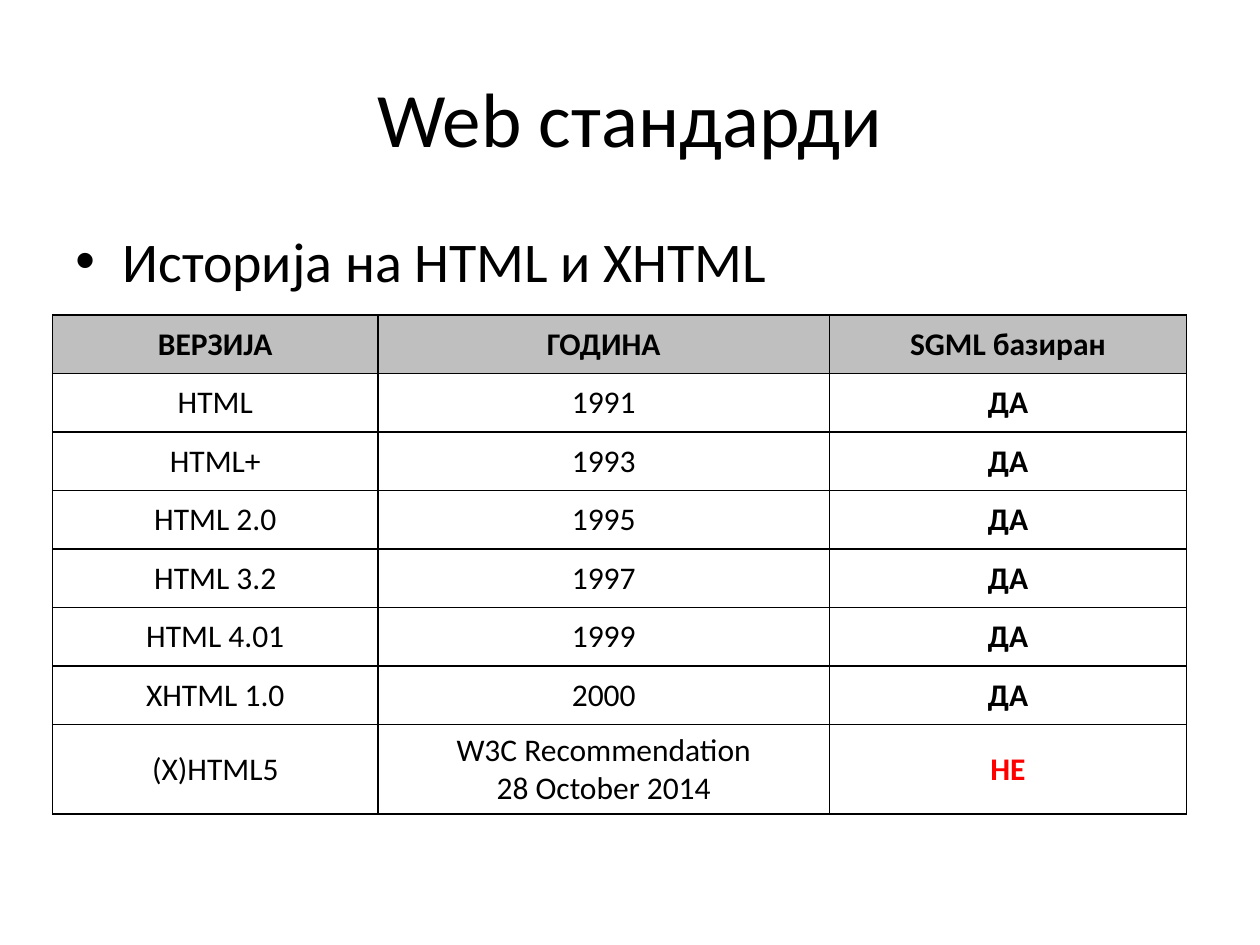
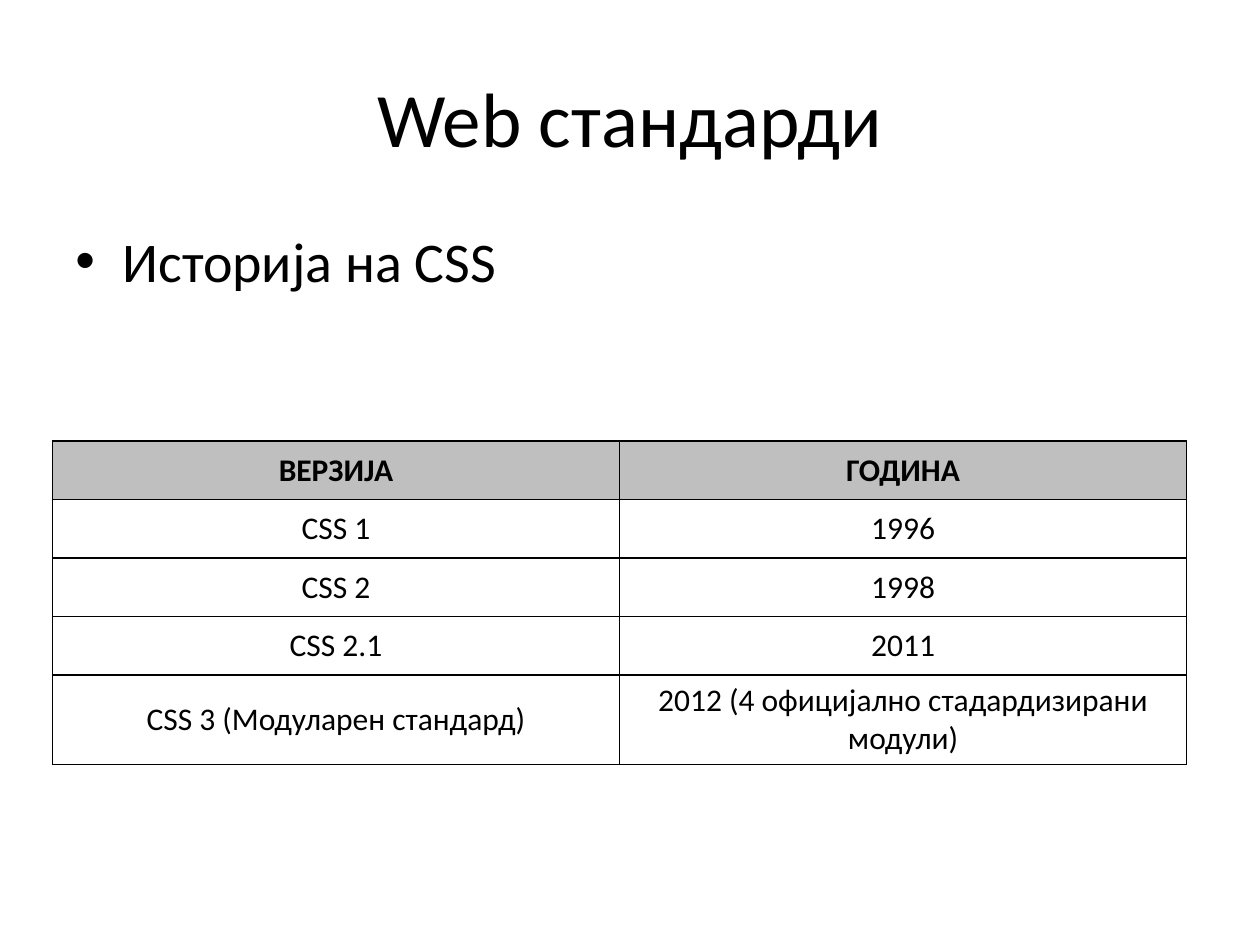
from pptx import Presentation
from pptx.dml.color import RGBColor
from pptx.enum.text import MSO_ANCHOR as Anchor, PP_ALIGN as Align
from pptx.oxml.ns import qn
from pptx.util import Cm, Pt
from lxml.etree import SubElement

COLORS = {"text": "000000", "border": "000000", "header": "BFBFBF", "negative": "FF0000"}
FONT = "Calibri"
YES, NO = "ДА", "НЕ"

TITLE = "Web стандарди"
CONTENT_LEFT, CONTENT_WIDTH = 1.27, 22.86
TABLE_LEFT = 1.06
ROW_HEIGHT, LAST_ROW_HEIGHT = 1.18, 1.8
BULLET_INDENT = Cm(0.95)

HTML_HISTORY = [
    ("ВЕРЗИЈА", "ГОДИНА", "SGML базиран"),
    ("HTML", "1991", YES),
    ("HTML+", "1993", YES),
    ("HTML 2.0", "1995", YES),
    ("HTML 3.2", "1997", YES),
    ("HTML 4.01", "1999", YES),
    ("XHTML 1.0", "2000", YES),
    ("(X)HTML5", "W3C Recommendation\n28 October 2014", NO),
]
CSS_HISTORY = [
    ("ВЕРЗИЈА", "ГОДИНА"),
    ("CSS 1", "1996"),
    ("CSS 2", "1998"),
    ("CSS 2.1", "2011"),
    ("CSS 3 (Модуларен стандард)", "2012 (4 официјално стадардизирани модули)"),
]


def style_paragraph(paragraph, size, align=Align.CENTER, bold=False, color="text"):
    paragraph.alignment = align
    font = paragraph.font
    font.name, font.size, font.bold = FONT, Pt(size), bold
    font.color.rgb = RGBColor.from_string(COLORS[color])


def add_text(slide, text, top, height, size, align, anchor):
    box = slide.shapes.add_textbox(Cm(CONTENT_LEFT), Cm(top), Cm(CONTENT_WIDTH), Cm(height))
    frame = box.text_frame
    frame.word_wrap = True
    frame.vertical_anchor = anchor
    frame.text = text
    paragraph = frame.paragraphs[0]
    style_paragraph(paragraph, size, align)
    return paragraph


def add_title(slide):
    add_text(slide, TITLE, 0.76, 3.18, 44, Align.CENTER, Anchor.MIDDLE)


def add_bullet(slide, text):
    paragraph = add_text(slide, text, 4.45, 12.57, 32, Align.LEFT, Anchor.TOP)
    properties = paragraph._p.get_or_add_pPr()
    properties.set("marL", str(BULLET_INDENT))
    properties.set("indent", str(-BULLET_INDENT))
    SubElement(properties, qn("a:buFont"), typeface="Arial")
    SubElement(properties, qn("a:buChar"), char="•")


def add_borders(cell):
    properties = cell._tc.get_or_add_tcPr()
    for side in ("a:lnL", "a:lnR", "a:lnT", "a:lnB"):
        line = SubElement(properties, qn(side), w=str(Pt(1)))
        fill = SubElement(line, qn("a:solidFill"))
        SubElement(fill, qn("a:srgbClr"), val=COLORS["border"])


def fill_cell(cell, text, is_header):
    add_borders(cell)
    if is_header:
        cell.fill.solid()
        cell.fill.fore_color.rgb = RGBColor.from_string(COLORS["header"])
    else:
        cell.fill.background()
    cell.vertical_anchor = Anchor.MIDDLE
    cell.text = text
    for paragraph in cell.text_frame.paragraphs:
        style_paragraph(paragraph, 18, bold=is_header or text in (YES, NO),
                        color="negative" if text == NO else "text")


def add_history_table(slide, rows, top, column_widths):
    """Add a bordered table with a grey header and a taller last row."""
    heights = [ROW_HEIGHT] * (len(rows) - 1) + [LAST_ROW_HEIGHT]
    table = slide.shapes.add_table(
        len(rows), len(column_widths), Cm(TABLE_LEFT), Cm(top),
        Cm(sum(column_widths)), Cm(sum(heights))).table
    table.first_row = table.horz_banding = False
    for column, width in zip(table.columns, column_widths):
        column.width = Cm(width)
    for row_index, (row, height, texts) in enumerate(zip(table.rows, heights, rows)):
        row.height = Cm(height)
        for cell, text in zip(row.cells, texts):
            fill_cell(cell, text, is_header=row_index == 0)


def add_history_slide(presentation, bullet, rows, table_top, column_widths):
    slide = presentation.slides.add_slide(presentation.slide_layouts[6])
    add_title(slide)
    add_bullet(slide, bullet)
    add_history_table(slide, rows, table_top, column_widths)


def main():
    presentation = Presentation()
    presentation.slide_width, presentation.slide_height = Cm(25.4), Cm(19.05)
    add_history_slide(presentation, "Историја на HTML и XHTML", HTML_HISTORY, 6.35,
                      (6.56, 9.1, 7.2))
    add_history_slide(presentation, "Историја на CSS", CSS_HISTORY, 8.89, (11.43, 11.43))
    presentation.save("out.pptx")


if __name__ == "__main__":
    main()
